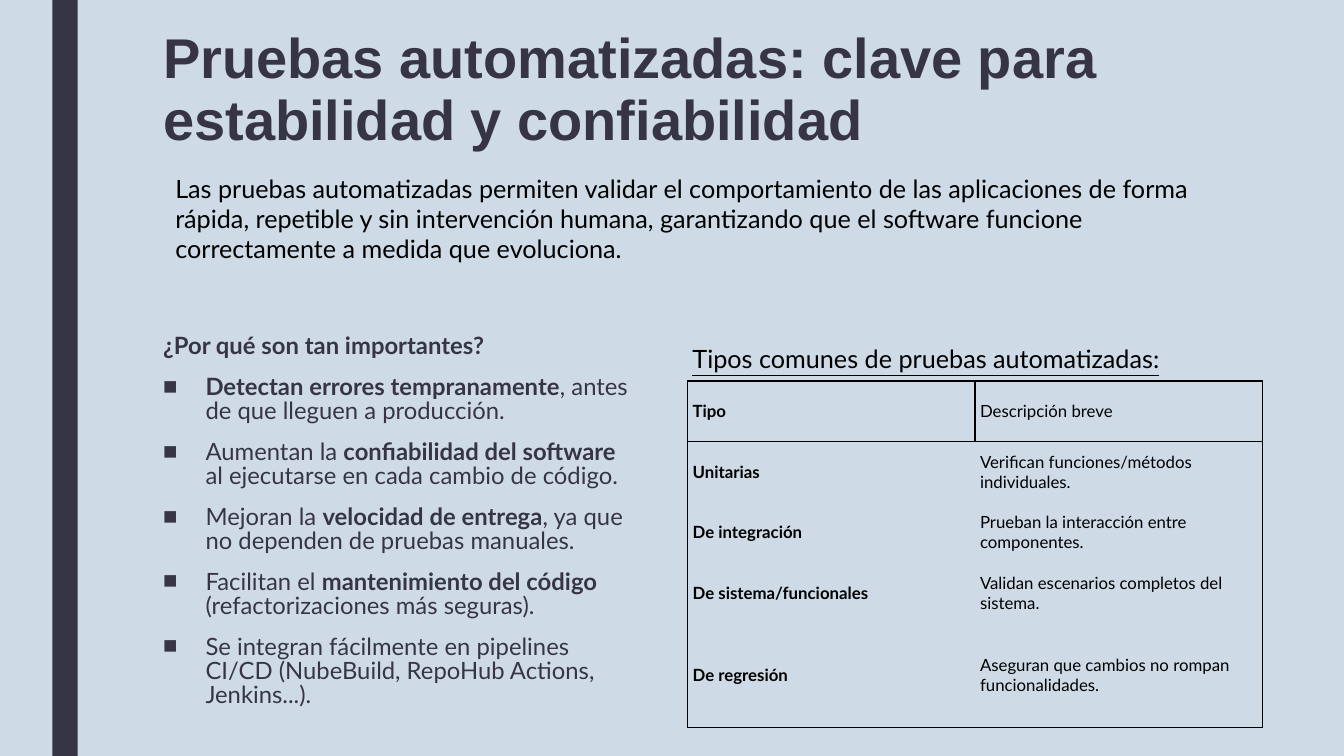
from lxml import etree
from pptx import Presentation
from pptx import util as u
from pptx.dml.color import RGBColor
from pptx.enum import shapes, text
from pptx.oxml import ns

DARK, BLACK, BACKGROUND = "373545", "000000", "CEDBE6"

INTRO = ("Las pruebas automatizadas permiten validar el comportamiento de las "
         "aplicaciones de forma rápida, repetible y sin intervención humana, "
         "garantizando que el software funcione correctamente a medida que evoluciona.")

# Each reason: text before, bold text, text after
REASONS = [
    ("", "Detectan errores tempranamente", ", antes de que lleguen a producción."),
    ("Aumentan la ", "confiabilidad del software",
     " al ejecutarse en cada cambio de código."),
    ("Mejoran la ", "velocidad de entrega", ", ya que no dependen de pruebas manuales."),
    ("Facilitan el ", "mantenimiento del código", " (refactorizaciones más seguras)."),
    ("Se integran fácilmente en pipelines CI/CD (NubeBuild, RepoHub Actions, Jenkins...).",
     "", ""),
]

TEST_TYPES = [
    ("Tipo", "Descripción breve"),
    ("Unitarias", "Verifican funciones/métodos individuales."),
    ("De integración", "Prueban la interacción entre componentes."),
    ("De sistema/funcionales", "Validan escenarios completos del sistema."),
    ("De regresión", "Aseguran que cambios no rompan funcionalidades."),
]
ROW_HEIGHTS = [0.6, 0.6, 0.6, 0.6, 1.04]


def color(value):
    return RGBColor.from_string(value)


def style_font(font, size, value, name="Lato", bold=False, underline=False):
    font.name, font.size, font.bold, font.underline = name, u.Pt(size), bold, underline
    font.color.rgb = color(value)


def add_text_frame(slide, left, top, width, height):
    box = slide.shapes.add_textbox(*map(u.Inches, (left, top, width, height)))
    box.text_frame.word_wrap = True
    return box.text_frame


def add_line_of_text(slide, area, content, size, value, spacing=1.0, **style):
    paragraph = add_text_frame(slide, *area).paragraphs[0]
    paragraph.text = content
    paragraph.line_spacing = spacing
    style_font(paragraph.runs[0].font, size, value, **style)


def add_bullet(paragraph):
    properties = paragraph._p.get_or_add_pPr()
    properties.set("marL", str(u.Inches(0.42)))
    properties.set("indent", str(-u.Inches(0.42)))
    etree.SubElement(properties, ns.qn("a:buFont"), typeface="Arial")
    etree.SubElement(properties, ns.qn("a:buChar"), char="■")


def add_reasons(slide, area):
    frame = add_text_frame(slide, *area)
    for index, parts in enumerate([("", "¿Por qué son tan importantes?", "")] + REASONS):
        paragraph = frame.add_paragraph() if index else frame.paragraphs[0]
        if index:
            add_bullet(paragraph)
            paragraph.space_before = u.Pt(10)
        paragraph.space_after = u.Pt(2)
        paragraph.line_spacing = 0.84
        for position, part in enumerate(parts):
            if part:
                run = paragraph.add_run()
                run.text = part
                style_font(run.font, 17, DARK, bold=position == 1)


def set_borders(cell, visible):
    properties = cell._tc.get_or_add_tcPr()
    for side in "LRTB":
        line = etree.SubElement(properties, ns.qn("a:ln" + side), w=str(u.Pt(1)))
        if side in visible:
            fill = etree.SubElement(line, ns.qn("a:solidFill"))
            etree.SubElement(fill, ns.qn("a:srgbClr"), val=BLACK)
        else:
            etree.SubElement(line, ns.qn("a:noFill"))


def add_types_table(slide, left, top, width):
    table = slide.shapes.add_table(
        len(TEST_TYPES), 2, u.Inches(left), u.Inches(top),
        u.Inches(width), u.Inches(sum(ROW_HEIGHTS))).table
    last = len(TEST_TYPES) - 1
    for row, contents in enumerate(TEST_TYPES):
        table.rows[row].height = u.Inches(ROW_HEIGHTS[row])
        for column, content in enumerate(contents):
            cell = table.cell(row, column)
            # Full grid in the header, outline only below it
            sides = "LRTB" if row == 0 else "LR"[column]
            sides += "T" if row == 1 else "B" if row == last else ""
            set_borders(cell, sides)
            cell.fill.background()
            cell.vertical_anchor = text.MSO_ANCHOR.MIDDLE
            cell.margin_left = cell.margin_right = u.Inches(0.05)
            cell.margin_top = cell.margin_bottom = u.Inches(0.02)
            cell.text_frame.text = content
            style_font(cell.text_frame.paragraphs[0].runs[0].font, 12, BLACK,
                       bold=column == 0)


def add_side_bar(slide):
    bar = slide.shapes.add_shape(shapes.MSO_SHAPE.RECTANGLE, u.Inches(0.52), 0,
                                 u.Inches(0.25), u.Inches(7.5))
    bar.shadow.inherit = False
    bar.fill.solid()
    bar.fill.fore_color.rgb = color(DARK)
    bar.line.fill.background()


def main():
    presentation = Presentation()
    presentation.slide_width = u.Inches(13.33)
    presentation.slide_height = u.Inches(7.5)
    slide = presentation.slides.add_slide(presentation.slide_layouts[6])

    # Background and side bar
    slide.background.fill.solid()
    slide.background.fill.fore_color.rgb = color(BACKGROUND)
    add_side_bar(slide)

    # Title and introduction
    add_line_of_text(slide, (1.52, 0.23, 10.5, 1.45),
                     "Pruebas automatizadas: clave para estabilidad y confiabilidad",
                     40, DARK, spacing=0.93, name="Arial", bold=True)
    add_line_of_text(slide, (1.64, 1.67, 10.36, 1.01), INTRO, 18, BLACK)

    # Reasons on the left, test types on the right
    add_reasons(slide, (1.52, 3.28, 4.86, 3.92))
    add_types_table(slide, 6.82, 3.78, 5.7)
    add_line_of_text(slide, (6.77, 3.36, 5.5, 0.4),
                     "Tipos comunes de pruebas automatizadas:", 18, BLACK, underline=True)

    presentation.save("out.pptx")


if __name__ == "__main__":
    main()
